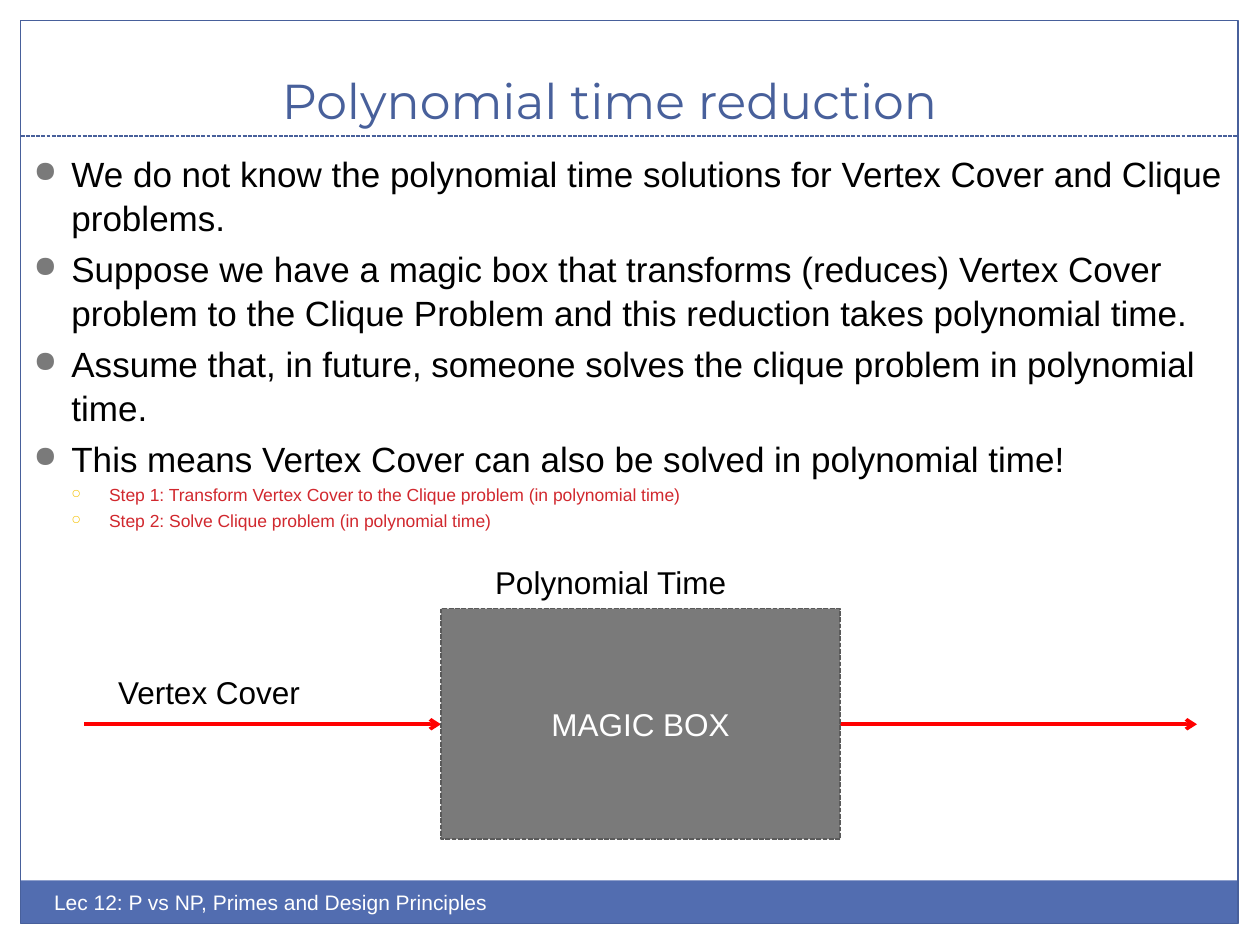
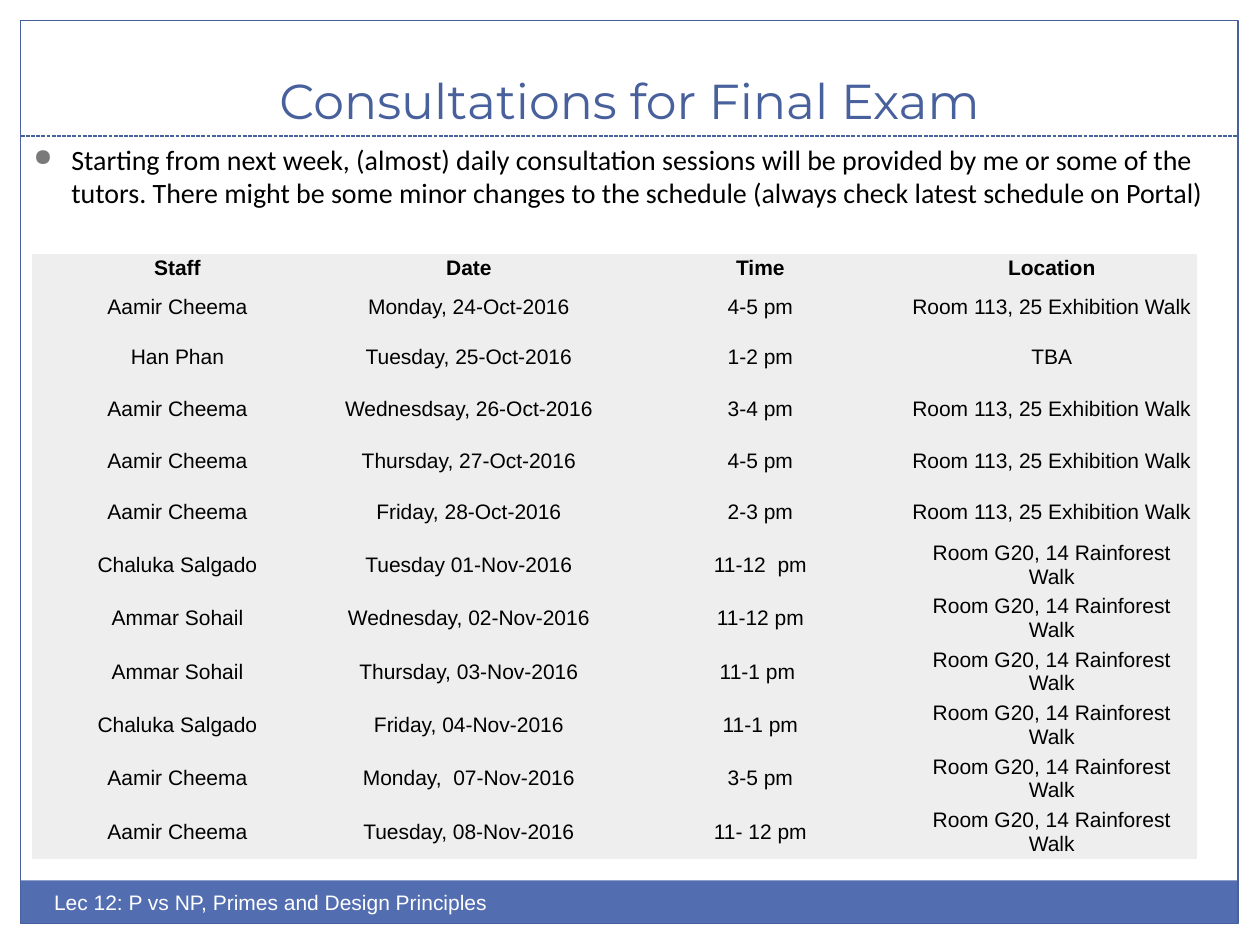
import pptx
import pptx.util
import pptx.dml.color
import pptx.enum.dml
import pptx.enum.shapes
import pptx.enum.text
import pptx.oxml.ns
import lxml.etree

Cm, Pt = pptx.util.Cm, pptx.util.Pt
Align = pptx.enum.text.PP_ALIGN
Anchor = pptx.enum.text.MSO_ANCHOR
RECT = pptx.enum.shapes.MSO_SHAPE.RECTANGLE
DASH = pptx.enum.dml.MSO_LINE.SQUARE_DOT

BLUE, BAND, GREY, EDGE = "48609B", "526DB0", "7A7A7A", "5A5A5A"
BLACK, WHITE, RED, STEP = "000000", "FFFFFF", "FF0000", "D1282E"
GOLD, PALE = "F5C201", "EEEEEE"

FOOT = "Lec 12: P vs NP, Primes and Design Principles"
TITLES = ["Polynomial time reduction", "Consultations for Final Exam"]
POINTS = [
    (0, "We do not know the polynomial time solutions for Vertex Cover and Clique problems."),
    (0, "Suppose we have a magic box that transforms (reduces) Vertex Cover problem to the Clique Problem and this reduction takes polynomial time."),
    (0, "Assume that, in future, someone solves the clique problem in polynomial time."),
    (0, "This means Vertex Cover can also be solved in polynomial time!"),
    (1, "Step 1: Transform Vertex Cover to the Clique problem (in polynomial time)"),
    (1, "Step 2: Solve Clique problem (in polynomial time)"),
]
NOTICE = [
    (0, "Starting from next week, (almost) daily consultation sessions will be provided by me or some of the tutors. There might be some minor changes to the schedule (always check latest schedule on Portal)"),
]
WALK = "Room 113, 25 Exhibition Walk"
FOREST = "Room G20, 14 Rainforest Walk"
ROWS = [
    ("Staff", "Date", "Time", "Location"),
    ("Aamir Cheema", "Monday, 24-Oct-2016", "4-5 pm", WALK),
    ("Han Phan", "Tuesday, 25-Oct-2016", "1-2 pm", "TBA"),
    ("Aamir Cheema", "Wednesdsay, 26-Oct-2016", "3-4 pm", WALK),
    ("Aamir Cheema", "Thursday, 27-Oct-2016", "4-5 pm", WALK),
    ("Aamir Cheema", "Friday, 28-Oct-2016", "2-3 pm", WALK),
    ("Chaluka Salgado", "Tuesday 01-Nov-2016", "11-12  pm", FOREST),
    ("Ammar Sohail", "Wednesday, 02-Nov-2016", "11-12 pm", FOREST),
    ("Ammar Sohail", "Thursday, 03-Nov-2016", "11-1 pm ", FOREST),
    ("Chaluka Salgado", "Friday, 04-Nov-2016", "11-1 pm", FOREST),
    ("Aamir Cheema", "Monday,  07-Nov-2016", "3-5 pm", FOREST),
    ("Aamir Cheema", "Tuesday, 08-Nov-2016", "11- 12 pm", FOREST),
]
PLAIN = "{2D5ABB26-0587-4C30-8999-92F81FD0307C}"


def tint(code):
    return pptx.dml.color.RGBColor.from_string(code)


def add(parent, tag, **attrs):
    return lxml.etree.SubElement(parent, pptx.oxml.ns.qn(tag), attrs)


def style(para, size, code, font="Arial", bold=False, align=Align.LEFT):
    para.alignment = align
    for run in para.runs:
        run.font.size, run.font.name, run.font.bold = Pt(size), font, bold
        run.font.color.rgb = tint(code)


def pen(line, code, width, dash=None):
    line.color.rgb, line.width = tint(code), Pt(width)
    if dash:
        line.dash_style = dash


def box(slide, area, fill=None, edge=None, width=0.75, dash=None):
    shape = slide.shapes.add_shape(RECT, *map(Cm, area))
    shape.shadow.inherit = False
    if fill:
        shape.fill.solid()
        shape.fill.fore_color.rgb = tint(fill)
    else:
        shape.fill.background()
    if edge:
        pen(shape.line, edge, width, dash)
    else:
        shape.line.fill.background()
    return shape


def rule(slide, left, right, y, code, width, dash=None, head=False):
    line = slide.shapes.add_connector(
        pptx.enum.shapes.MSO_CONNECTOR.STRAIGHT, Cm(left), Cm(y), Cm(right), Cm(y))
    pen(line.line, code, width, dash)
    if head:
        add(line.line._get_or_add_ln(), "a:tailEnd", type="arrow")
    add(line._element.spPr, "a:effectLst")


def label(slide, text, area, size, code, wrap=False):
    frame = slide.shapes.add_textbox(*map(Cm, area)).text_frame
    frame.word_wrap = wrap
    frame.text = text
    style(frame.paragraphs[0], size, code)


def bullets(slide, items, area, looks, font, space):
    frame = slide.shapes.add_textbox(*map(Cm, area)).text_frame
    frame.word_wrap = True
    frame.text = "\n".join(text for _, text in items)
    for para, (level, _) in zip(frame.paragraphs, items):
        size, code = looks[level]
        mark, hue, scale = [("●", GREY, "85000"), ("○", GOLD, "70000")][level]
        style(para, size, code, font)
        para.level = level
        para.space_before = Pt(size * 0.2)
        para.line_spacing = space
        props = para._p.get_or_add_pPr()
        props.set("marL", str(Cm(0.76 * (level + 1))))
        props.set("indent", str(-Cm(0.76)))
        add(add(props, "a:buClr"), "a:srgbClr", val=hue)
        add(props, "a:buSzPct", val=scale)
        add(props, "a:buChar", char=mark)


def base(deck, text, left, width):
    slide = deck.slides.add_slide(deck.slide_layouts[5])
    box(slide, (0.41, 17.75, 24.54, 0.86), BAND)
    box(slide, (0.42, 0.42, 24.54, 18.2), edge=BLUE)
    rule(slide, 0.42, 24.96, 2.74, BLUE, 0.75, DASH)
    title = slide.shapes.title
    title.left, title.top, title.width, title.height = map(Cm, (left, 0.64, width, 2.1))
    title.text_frame.text = text
    title.text_frame.vertical_anchor = Anchor.BOTTOM
    style(title.text_frame.paragraphs[0], 28, BLUE, "Montserrat", align=Align.CENTER)
    label(slide, FOOT, (0.84, 17.8, 12.7, 1.02), 12, WHITE, True)
    return slide


def magic(deck):
    slide = base(deck, TITLES[0], -0.2, 24.97)
    bullets(slide, POINTS, (0.43, 2.9, 24.56, 8.76),
            [(20, BLACK), (10, STEP)], "Arial", 1.05)
    left, top, width, height = 8.89, 12.27, 8.05, 4.65
    reach, y = 7.19, 14.6
    for start in (left - reach, left + width):
        rule(slide, start, start + reach, y, RED, 2, head=True)
    shape = box(slide, (left, top, width, height), GREY, EDGE, 0.9, DASH)
    shape.text_frame.text = "MAGIC BOX"
    shape.text_frame.vertical_anchor = Anchor.MIDDLE
    style(shape.text_frame.paragraphs[0], 18, WHITE, align=Align.CENTER)
    label(slide, "Vertex Cover", (2.13, 13.44, 4.22, 1.02), 18, BLACK)
    label(slide, "Polynomial Time", (9.73, 11.23, 5.21, 1.02), 18, BLACK)


def consult(deck):
    slide = base(deck, TITLES[1], 0.84, 23.7)
    bullets(slide, NOTICE, (0.43, 2.74, 24.33, 12.7), [(16, BLACK)], "Calibri", 1.0)
    highs = [0.57, 1.0] + [1.04] * (len(ROWS) - 2)
    shape = slide.shapes.add_table(
        len(ROWS), len(ROWS[0]), Cm(0.64), Cm(5.12), Cm(23.5), Cm(sum(highs)))
    table = shape.table
    table._tbl.tblPr.find(pptx.oxml.ns.qn("a:tableStyleId")).text = PLAIN
    for row, high in zip(table.rows, highs):
        row.height = Cm(high)
    for i, row in enumerate(ROWS):
        for j, text in enumerate(row):
            cell = table.cell(i, j)
            cell.text = text
            cell.vertical_anchor = Anchor.MIDDLE
            cell.margin_left = cell.margin_right = Cm(0.03)
            cell.margin_top = cell.margin_bottom = Cm(0.03)
            cell.fill.solid()
            cell.fill.fore_color.rgb = tint(PALE)
            style(cell.text_frame.paragraphs[0], 12, BLACK,
                  bold=i == 0, align=Align.CENTER)


def main():
    deck = pptx.Presentation()
    deck.slide_width, deck.slide_height = Cm(25.4), Cm(19.05)
    magic(deck)
    consult(deck)
    deck.save("out.pptx")


if __name__ == "__main__":
    main()
